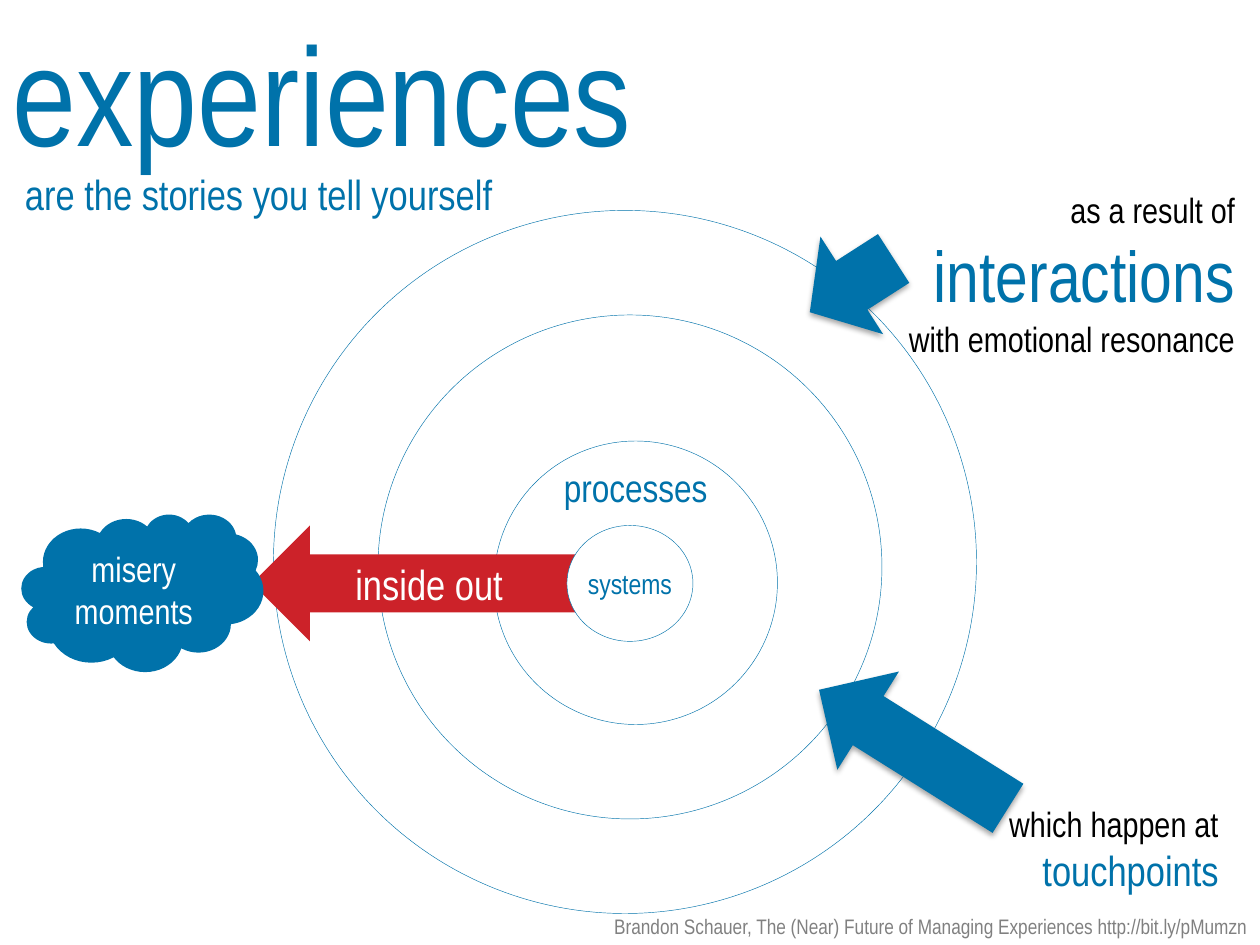
import dataclasses

import lxml.etree
import pptx
import pptx.dml.color
import pptx.enum.shapes
import pptx.enum.text
import pptx.oxml.ns
import pptx.util

SCALE = 9144  # EMU per px, 100 px to the inch
SHAPE = pptx.enum.shapes.MSO_SHAPE
ALIGN = pptx.enum.text.PP_ALIGN
ANCHOR = pptx.enum.text.MSO_ANCHOR


@dataclasses.dataclass(frozen=True)
class Theme:
    font: str = "Arial Narrow"
    blue: str = "0072AA"
    red: str = "CC2229"
    white: str = "FFFFFF"
    black: str = "000000"
    gray: str = "808080"
    hair: float = 0.25
    huge: int = 80
    big: int = 41
    lead: int = 24
    ring: int = 22
    base: int = 20
    core: int = 16
    note: int = 12


def px(*nums):
    return [pptx.util.Emu(n * SCALE) for n in nums]


def rgb(code):
    return pptx.dml.color.RGBColor.from_string(code)


class Deck:
    def __init__(self, theme):
        self.theme = theme
        self.file = pptx.Presentation()
        self.file.slide_width, self.file.slide_height = px(1000, 750)
        self.slide = self.file.slides.add_slide(self.file.slide_layouts[5])

    def fill_text(self, frame, paras, align, anchor=ANCHOR.TOP, wrap=True,
                  side=10):
        """Fill a frame; each paragraph is a list of (text, size, colour)."""
        frame.word_wrap = wrap
        frame.auto_size = pptx.enum.text.MSO_AUTO_SIZE.NONE
        frame.vertical_anchor = anchor
        frame.margin_left, frame.margin_right = px(side, side)
        frame.margin_top, frame.margin_bottom = px(5, 5)
        for i, runs in enumerate(paras):
            para = frame.add_paragraph() if i else frame.paragraphs[0]
            para.alignment = align
            for text, size, color in runs:
                run = para.add_run()
                run.text = text
                run.font.name = self.theme.font
                run.font.size = pptx.util.Pt(size)
                run.font.color.rgb = rgb(color)

    def title(self, box, text, size, color):
        shape = self.slide.shapes.title
        shape.left, shape.top, shape.width, shape.height = px(*box)
        self.fill_text(shape.text_frame, [[(text, size, color)]], ALIGN.LEFT)

    def text(self, box, *paras, align=ALIGN.RIGHT, wrap=True):
        shape = self.slide.shapes.add_textbox(*px(*box))
        self.fill_text(shape.text_frame, paras, align, wrap=wrap)

    def shape(self, kind, box, fill, line=None, label=None, side=10):
        shape = self.slide.shapes.add_shape(kind, *px(*box))
        shape.shadow.inherit = False
        shape.fill.solid()
        shape.fill.fore_color.rgb = rgb(fill)
        if line:
            shape.line.color.rgb = rgb(line)
            shape.line.width = pptx.util.Pt(self.theme.hair)
        else:
            shape.line.fill.background()
        if label:
            self.fill_text(shape.text_frame, [[label]], ALIGN.CENTER,
                           ANCHOR.MIDDLE, side=side)
        return shape

    def ring(self, box, label=None):
        self.shape(SHAPE.OVAL, box, self.theme.white, self.theme.blue,
                   label, side=0)

    def arrow(self, box, angle):
        """Add a turned blue arrow with a soft shadow below it."""
        shape = self.shape(SHAPE.DOWN_ARROW, box, self.theme.blue)
        shape.rotation = angle
        tag = pptx.oxml.ns.qn
        group = shape._element.spPr.find(tag("a:effectLst"))
        shade = lxml.etree.SubElement(
            group, tag("a:outerShdw"), blurRad="40000", dist="23000",
            dir="5400000", rotWithShape="0")
        color = lxml.etree.SubElement(shade, tag("a:srgbClr"),
                                      val=self.theme.black)
        lxml.etree.SubElement(color, tag("a:alpha"), val="35000")


def main():
    look = Theme()
    deck = Deck(look)

    deck.ring((217, 167, 558, 558))
    deck.title((0, 0, 1000, 145), "experiences", look.huge, look.blue)
    deck.ring((300, 250, 400, 400))
    deck.ring((392, 350, 225, 225))
    deck.text((342, 363, 325, 47), [("processes", look.ring, look.blue)],
              align=ALIGN.CENTER)
    deck.shape(SHAPE.LEFT_ARROW, (200, 417, 258, 92), look.red,
               label=("inside out", look.lead, look.white))
    deck.ring((450, 417, 100, 92), ("systems", look.core, look.blue))
    deck.shape(SHAPE.CLOUD, (17, 408, 192, 125), look.blue,
               label=("misery moments", look.base, look.white))
    deck.text((250, 720, 750, 30),
              [("Brandon Schauer, The (Near) Future of Managing Experiences "
                "http://bit.ly/pMumzn", look.note, look.gray)])

    deck.arrow((630, 187, 92, 79), 57.3)
    deck.text((689, 145, 301, 148),
              [("as a result of ", look.base, look.black),
               ("interactions", look.big, look.blue)],
              [("with emotional resonance", look.base, look.black)])
    deck.text((708, 632, 269, 86),
              [("which happen at ", look.base, look.black),
               ("touchpoints", look.lead, look.blue)])
    deck.arrow((679, 506, 92, 177), 122.1)
    deck.text((10, 129, 396, 50),
              [("are the stories you tell yourself", look.lead, look.blue)],
              align=ALIGN.LEFT, wrap=False)

    deck.file.save("out.pptx")


if __name__ == "__main__":
    main()
